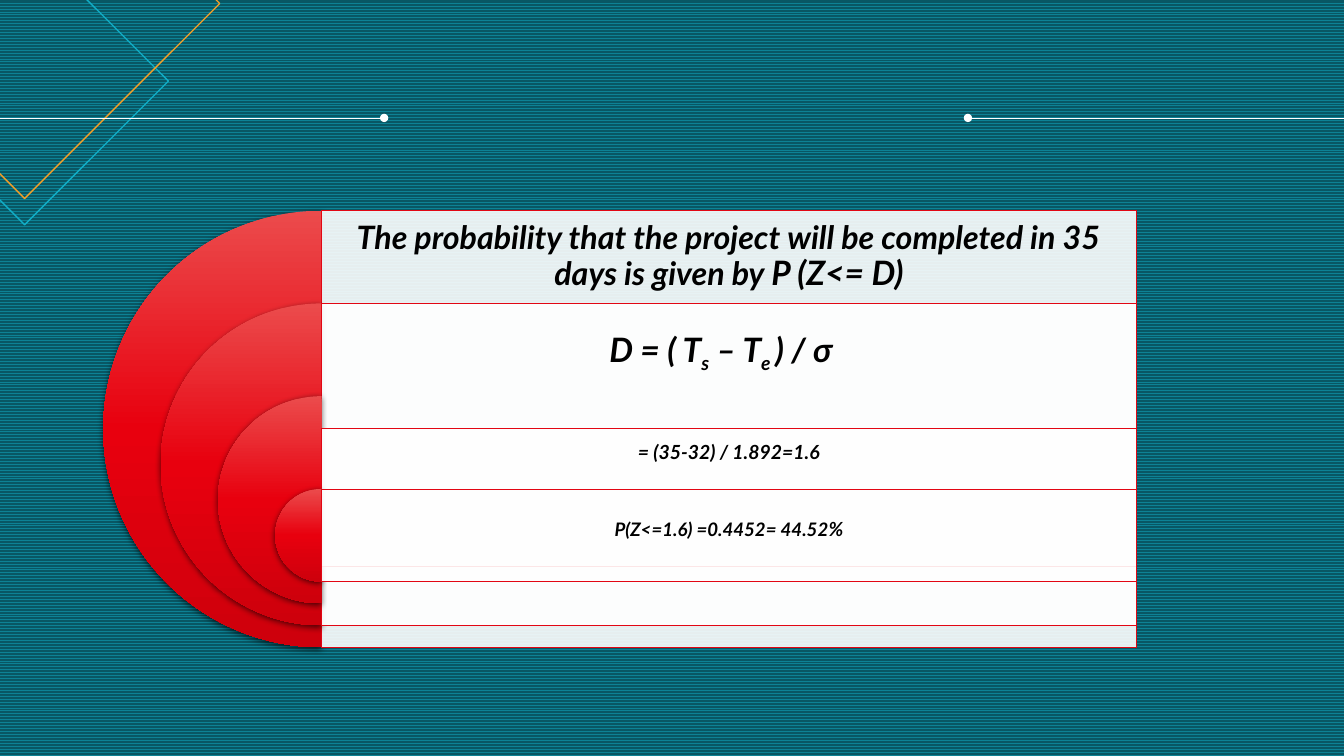
import pptx
import pptx.util
import pptx.dml.color
import pptx.enum.dml
import pptx.enum.shapes
import pptx.enum.text
import pptx.oxml.ns
from lxml import etree

SHAPE = pptx.enum.shapes.MSO_SHAPE
qn = pptx.oxml.ns.qn
inches = pptx.util.Inches

WIDTH, HEIGHT = 13.33, 7.5
AXIS = 3.19            # flat side of the half discs, left edge of the bands
BAND_WIDTH = 8.08
FIRST_TOP, ROW = 2.09, 0.92
SMALLEST, GROWTH = 0.92, 1.137   # half-disc diameters, inside to outside
RULE_Y = 1.17


def color(hex_code):
    return pptx.dml.color.RGBColor.from_string(hex_code)


def add_xml(parent, tag, **attributes):
    return etree.SubElement(parent, qn(tag), {k: str(v) for k, v in attributes.items()})


def preset(slide, kind, left, top, width, height, line=None, weight=1):
    shape = slide.shapes.add_shape(kind, *map(inches, (left, top, width, height)))
    shape.shadow.inherit = False
    shape.fill.background()
    if line:
        shape.line.color.rgb = color(line)
        shape.line.width = pptx.util.Pt(weight)
    else:
        shape.line.fill.background()
    return shape


def rule(slide, start, end, dot_tag):
    """White line across the header, with a dot at its inner end."""
    line = slide.shapes.add_connector(
        pptx.enum.shapes.MSO_CONNECTOR.STRAIGHT,
        inches(start), inches(RULE_Y), inches(end), inches(RULE_Y))
    line.line.color.rgb = color("FFFFFF")
    line.line.width = pptx.util.Pt(0.5)
    properties = line._element.spPr
    add_xml(properties.find(qn("a:ln")), dot_tag, type="oval")
    add_xml(properties, "a:effectLst")


def half_disc(slide, top, diameter):
    disc = preset(slide, SHAPE.PIE, AXIS - diameter / 2, top, diameter, diameter)
    disc.adjustments[0], disc.adjustments[1] = 54, 162
    # Three-stop gradient, running downwards
    disc.fill.gradient()
    disc.fill.gradient_angle = 270
    properties = disc._element.spPr
    stops = properties.find(".//" + qn("a:gsLst"))
    for stop in list(stops):
        stops.remove(stop)
    for share, shade in ((0, "EB4B4C"), (50, "E8000E"), (100, "CE000C")):
        add_xml(add_xml(stops, "a:gs", pos=share * 1000), "a:srgbClr", val=shade)
    # Soft shadow below
    shadow = add_xml(properties.find(qn("a:effectLst")), "a:outerShdw",
                     blurRad=pptx.util.Pt(4.5), dist=pptx.util.Pt(1.5),
                     dir=5400000, algn="ctr", rotWithShape=0)
    add_xml(add_xml(shadow, "a:srgbClr", val="000000"), "a:alpha", val=63000)


def band(slide, top, height):
    panel = preset(slide, SHAPE.RECTANGLE, AXIS, top, BAND_WIDTH, height, "E20613", 0.5)
    panel.fill.solid()
    panel.fill.fore_color.rgb = color("FFFFFF")
    add_xml(panel._element.spPr.find(qn("a:solidFill"))[0], "a:alpha", val=90000)


def write(slide, runs, top, height, right_inset=0.1):
    """Each run is (text, size, baseline shift in percent)."""
    box = slide.shapes.add_textbox(*map(inches, (AXIS, top, BAND_WIDTH, height)))
    frame = box.text_frame
    frame.word_wrap = True
    frame.vertical_anchor = pptx.enum.text.MSO_ANCHOR.MIDDLE
    frame.margin_left = frame.margin_top = frame.margin_bottom = inches(0.1)
    frame.margin_right = inches(right_inset)
    paragraph = frame.paragraphs[0]
    paragraph.alignment = pptx.enum.text.PP_ALIGN.CENTER
    paragraph.line_spacing = 0.9
    for text, size, shift in runs:
        run = paragraph.add_run()
        run.text = text
        run.font.name = "Lato"
        run.font.size = pptx.util.Pt(size)
        run.font.bold = run.font.italic = True
        run.font.color.rgb = color("000000")
        if shift:
            run._r.get_or_add_rPr().set("baseline", str(shift * 1000))


def main():
    deck = pptx.Presentation()
    deck.slide_width, deck.slide_height = inches(WIDTH), inches(HEIGHT)
    slide = deck.slides.add_slide(deck.slide_layouts[6])

    # Patterned background
    backdrop = slide.background.fill
    backdrop.patterned()
    backdrop.pattern = pptx.enum.dml.MSO_PATTERN.ZIG_ZAG
    backdrop.fore_color.rgb = color("0D8295")
    backdrop.back_color.rgb = color("085764")

    # Corner diamonds and header rules
    preset(slide, SHAPE.DIAMOND, -1.18, -0.62, 2.85, 2.85, "11AEC7")
    preset(slide, SHAPE.DIAMOND, -1.69, -1.9, 3.87, 3.87, "F59F26")
    rule(slide, 9.6, WIDTH, "a:headEnd")
    rule(slide, 0, 3.81, "a:tailEnd")

    # Steps: runs, band top, band height (None: as the disc), text height, right inset
    steps = [
        ([("The probability that the project will be completed in 35 days is given by ", 23, 0),
          ("P (Z<= D)", 24, 0)], FIRST_TOP, None, ROW, 0.1),
        ([("D = ( T", 24, 0), ("s", 24, -25), (" – T", 24, 0), ("e ", 24, -25),
          (") / σ", 24, 0)], FIRST_TOP + ROW, None, ROW, 0.26),
        ([("= (35-32) / 1.892=1.6", 24, 30)], 4.25, 1.37, 0.61, 0.1),
        ([("P(Z<=1.6) =0.4452= 44.52", 23, 30), ("%", 24, 30)],
         FIRST_TOP + 3 * ROW, None, ROW, 0.1),
    ]
    for index, (runs, top, height, text_height, inset) in enumerate(steps):
        diameter = SMALLEST + GROWTH * (len(steps) - 1 - index)
        half_disc(slide, FIRST_TOP + ROW * index, diameter)
        band(slide, top, height or diameter)
        write(slide, runs, top, text_height, inset)

    deck.save("out.pptx")


if __name__ == "__main__":
    main()
